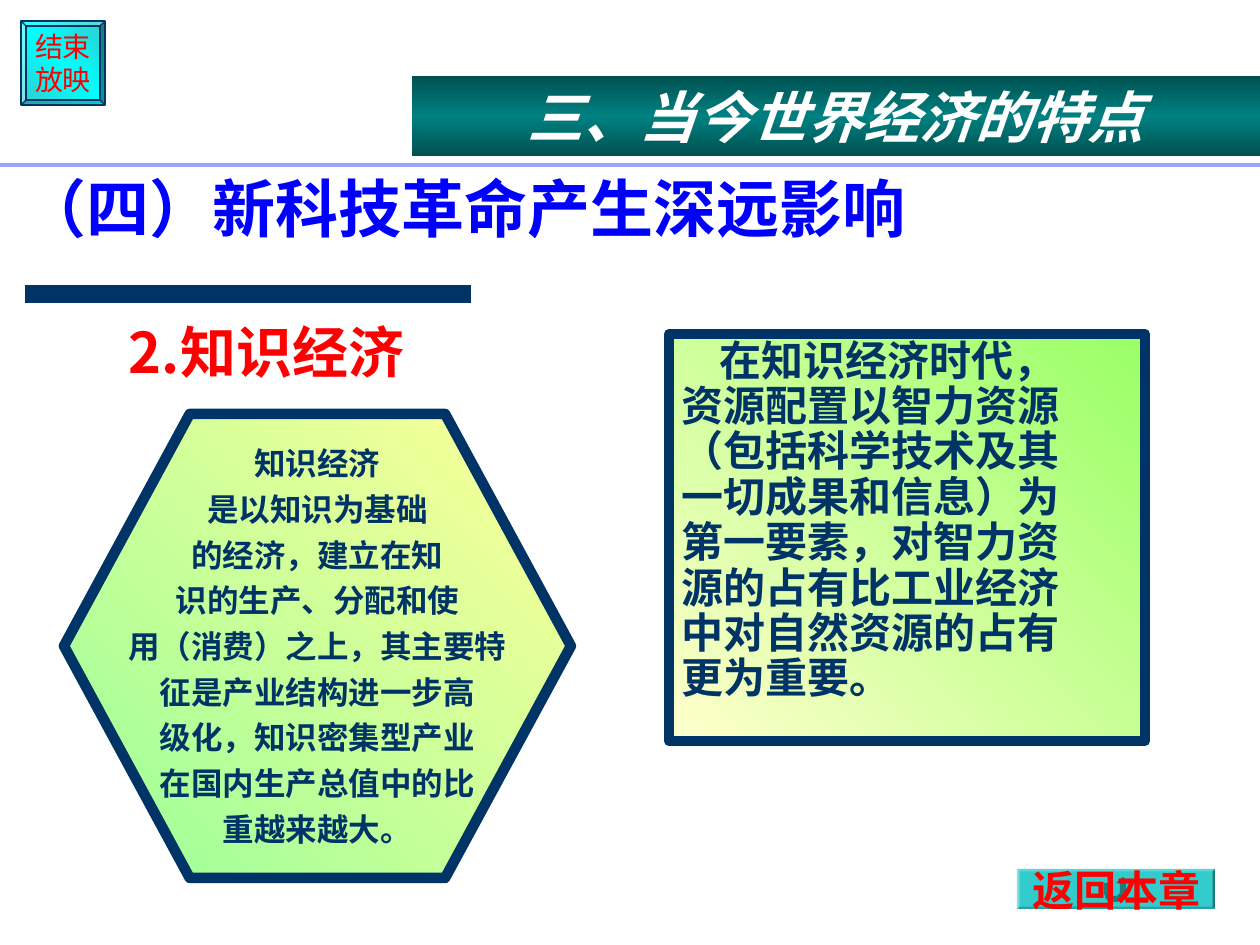
from dataclasses import dataclass

from lxml.etree import SubElement
from pptx import Presentation
from pptx.dml.color import RGBColor
from pptx.enum.shapes import MSO_CONNECTOR, MSO_SHAPE as Shape
from pptx.enum.text import MSO_ANCHOR as Anchor, PP_ALIGN as Align
from pptx.oxml.ns import qn
from pptx.util import Pt

EMU_PER_PX = 914400 / 126


def px(length):
    return round(length * EMU_PER_PX)


@dataclass(frozen=True)
class Theme:
    navy: str = "003366"
    red: str = "FF0000"
    blue: str = "0000FF"
    white: str = "FFFFFF"
    rule: str = "9BA4FD"
    teal: str = "33CCCC"
    arrow: str = "1F7A7A"
    aqua_sheen: tuple = ("33CCCC", "00FFFF", "33CCCC")
    banner_sheen: tuple = ("005151", "008080", "005151")
    lime_fade: tuple = ("99FF66", "FFFFCC")
    mint_fade: tuple = ("FFFF99", "99FF99")
    sans: str = "Arial"
    cjk: str = "Noto Sans CJK SC"
    title: int = 36
    heading: int = 32
    body: int = 24
    detail: int = 18
    button: int = 16


def write(shape, text, *, size, color, font, bold=True, italic=False,
          align=Align.LEFT, anchor=Anchor.TOP, wrap=True, spacing=None,
          gap=0, indent=0, right=13):
    """Fill a shape with one paragraph per line of text; gap separates them."""
    frame = shape.text_frame
    frame.word_wrap = wrap
    frame.vertical_anchor = anchor
    frame.margin_left, frame.margin_right = px(13), px(right)
    frame.margin_top = frame.margin_bottom = px(6)
    for number, line in enumerate(text.split("\n")):
        paragraph = frame.add_paragraph() if number else frame.paragraphs[0]
        paragraph.alignment = align
        if spacing:
            paragraph.line_spacing = spacing
        if number:
            paragraph.space_before = Pt(gap)
        if indent:
            paragraph._p.get_or_add_pPr().set("indent", str(px(indent)))
        run = paragraph.add_run()
        run.text = line
        style = run.font
        style.name, style.size = font, Pt(size)
        style.bold, style.italic = bold, italic
        style.color.rgb = RGBColor.from_string(color)
        east_asian = SubElement(run._r.get_or_add_rPr(), qn("a:ea"))
        east_asian.set("typeface", Theme.cjk)


class SlideBuilder:
    def __init__(self, slide, theme):
        self.shapes = slide.shapes
        self.theme = theme

    def paint(self, shape, fill, angle, outline, weight):
        """Apply a solid colour, or a tuple of evenly spaced gradient colours."""
        shape.shadow.inherit = False
        if isinstance(fill, tuple):
            shape.fill.gradient()
            shape.fill.gradient_angle = 360 - angle
            stops = shape._element.spPr.find(qn("a:gradFill")).find(qn("a:gsLst"))
            for stop in list(stops):
                stops.remove(stop)
            for number, color in enumerate(fill):
                stop = SubElement(stops, qn("a:gs"))
                stop.set("pos", str(100000 * number // (len(fill) - 1)))
                SubElement(stop, qn("a:srgbClr")).set("val", color)
        else:
            shape.fill.solid()
            shape.fill.fore_color.rgb = RGBColor.from_string(fill)
        if outline:
            shape.line.color.rgb = RGBColor.from_string(outline)
            shape.line.width = Pt(weight)
        else:
            shape.line.fill.background()
        return shape

    def panel(self, kind, box, fill, angle=135, outline=None, weight=6, adjust=()):
        shape = self.shapes.add_shape(kind, *map(px, box))
        for number, value in enumerate(adjust):
            shape.adjustments[number] = value
        return self.paint(shape, fill, angle, outline, weight)

    def outline(self, points, fill):
        builder = self.shapes.build_freeform(*points[0], scale=EMU_PER_PX)
        builder.add_line_segments(points[1:], close=True)
        return self.paint(builder.convert_to_shape(), fill, 0, None, 0)

    def label(self, box, text, **style):
        write(self.shapes.add_textbox(*map(px, box)), text, **style)

    def rule(self, left, right, y, color, weight):
        line = self.shapes.add_connector(
            MSO_CONNECTOR.STRAIGHT, px(left), px(y), px(right), px(y))
        line.line.color.rgb = RGBColor.from_string(color)
        line.line.width = Pt(weight)
        SubElement(line._element.spPr, qn("a:effectLst"))


def main():
    deck = Presentation()
    deck.slide_width, deck.slide_height = px(1260), px(945)
    theme = Theme()
    page = SlideBuilder(deck.slides.add_slide(deck.slide_layouts[6]), theme)
    centred = dict(align=Align.CENTER, anchor=Anchor.MIDDLE, wrap=False)

    page.rule(25, 471, 294, theme.navy, 10)
    end_show = page.panel(Shape.BEVEL, (21, 21, 84, 84), theme.aqua_sheen,
                          outline=theme.navy, weight=0.75, adjust=[0.06])
    write(end_show, "结束\n放映", size=theme.button, color=theme.red,
          font=theme.sans, bold=False, **centred)

    page.label((10, 115, 1240, 137), "（四）新科技革命产生深远影响",
               size=theme.title, color=theme.blue, font=theme.cjk,
               anchor=Anchor.BOTTOM, spacing=0.9)
    page.label((116, 325, 426, 77), "2.知识经济", size=theme.heading,
               color=theme.red, font=theme.cjk, spacing=0.8)

    resources = page.panel(Shape.RECTANGLE, (669, 334, 476, 407),
                           theme.lime_fade, outline=theme.navy)
    write(resources,
          "在知识经济时代，资源配置以智力资源（包括科学技术及其一切成果和信息）"
          "为第一要素，对智力资源的占有比工业经济中对自然资源的占有更为重要。",
          size=theme.body, color=theme.navy, font=theme.cjk,
          spacing=0.9, indent=38, right=49)

    definition = page.panel(Shape.HEXAGON, (64, 413, 507, 466), theme.mint_fade,
                            outline=theme.navy, adjust=[0.27, 1.15])
    write(definition,
          "知识经济\n是以知识为基础\n的经济，建立在知\n识的生产、分配和使\n"
          "用（消费）之上，其主要特\n征是产业结构进一步高\n"
          "级化，知识密集型产业\n在国内生产总值中的比\n重越来越大。",
          size=theme.detail, color=theme.navy, font=theme.sans, gap=4.5, **centred)

    page.panel(Shape.BEVEL, (1017, 869, 198, 40), theme.teal, adjust=[0.06])
    return_arrow = page.outline(
        [(1104, 883), (1110, 883), (1110, 893), (1113, 896), (1117, 896),
         (1120, 893), (1120, 883), (1116, 883), (1123, 877), (1129, 883),
         (1126, 883), (1126, 893), (1122, 900), (1117, 902), (1112, 902),
         (1106, 899), (1104, 893)], theme.arrow)
    write(return_arrow, "返回本章", size=theme.body, color=theme.red,
          font=theme.sans, **centred)

    banner = page.panel(Shape.RECTANGLE, (412, 76, 848, 80),
                        theme.banner_sheen, angle=90)
    write(banner, "三、当今世界经济的特点", size=theme.heading, color=theme.white,
          font=theme.cjk, italic=True, align=Align.CENTER)
    page.rule(0, 1260, 165, theme.rule, 1.75)

    deck.save("out.pptx")


if __name__ == "__main__":
    main()
